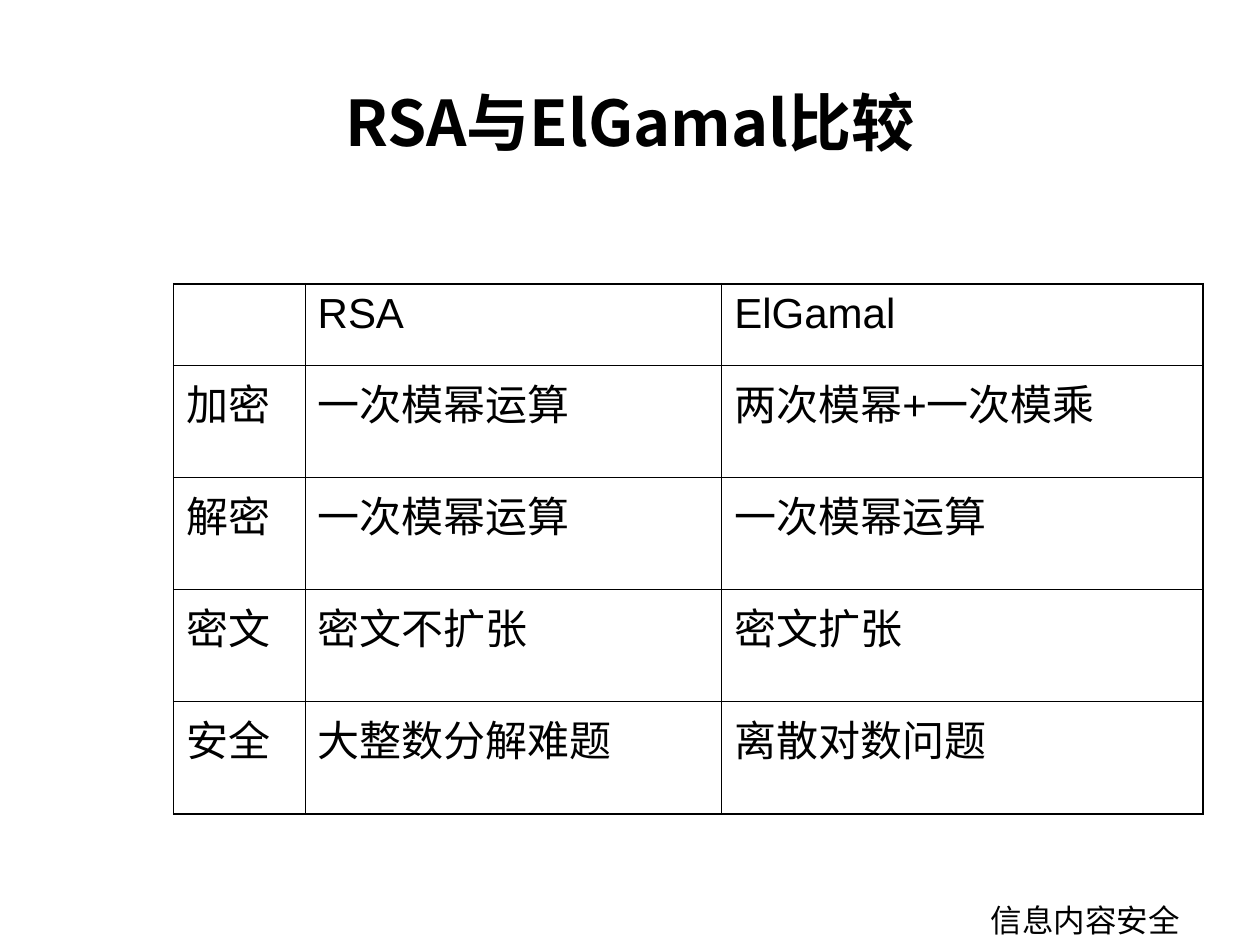
from lxml import etree
from pptx import Presentation
from pptx.dml.color import RGBColor
from pptx.enum import shapes, text
from pptx.oxml import ns
from pptx.util import Cm, Pt

BLACK = RGBColor(0x00, 0x00, 0x00)
WHITE = RGBColor(0xFF, 0xFF, 0xFF)
LATIN, CHINESE = "Arial", "Noto Sans CJK SC"

TITLE = "RSA与ElGamal比较"
FOOTER = "信息内容安全"
ROWS = [
    ("", "RSA", "ElGamal"),
    ("加密", "一次模幂运算", "两次模幂+一次模乘"),
    ("解密", "一次模幂运算", "一次模幂运算"),
    ("密文", "密文不扩张", "密文扩张"),
    ("安全", "大整数分解难题", "离散对数问题"),
]
COLUMN_WIDTHS = [2.65, 8.4, 9.7]
ROW_HEIGHTS = [1.65] + [2.26] * 4
TABLE_LEFT, TABLE_TOP = 3.5, 5.72
OUTER, INNER = Pt(1.08), Pt(0.45)

TITLE_FORMAT = {"name": CHINESE, "size": Pt(36), "bold": True}
CELL_FORMAT = {"name": LATIN, "size": Pt(24), "bold": False}
FOOTER_FORMAT = {"name": LATIN, "size": Pt(18), "bold": False}


def write(frame, words, font_format, align=text.PP_ALIGN.LEFT):
    para = frame.paragraphs[0]
    para.alignment = align
    span = para.add_run()
    span.text = words
    for key, value in font_format.items():
        setattr(span.font, key, value)
    span.font.color.rgb = BLACK
    east = etree.SubElement(span.font._element, ns.qn("a:ea"))
    east.set("typeface", CHINESE)


def draw_borders(cell, widths):
    properties = cell._tc.get_or_add_tcPr()
    for place, (side, width) in enumerate(widths.items()):
        line = etree.Element(ns.qn(f"a:ln{side}"), w=str(int(width)))
        fill = etree.SubElement(line, ns.qn("a:solidFill"))
        etree.SubElement(fill, ns.qn("a:srgbClr"), val=str(BLACK))
        properties.insert(place, line)


def add_title(page):
    box = page.shapes.add_textbox(Cm(1.27), Cm(1.17), Cm(22.86), Cm(2.16))
    frame = box.text_frame
    frame.word_wrap = True
    frame.vertical_anchor = text.MSO_ANCHOR.BOTTOM
    write(frame, TITLE, TITLE_FORMAT, text.PP_ALIGN.CENTER)


def add_footer(page):
    box = page.shapes.add_shape(
        shapes.MSO_SHAPE.RECTANGLE, Cm(19.56), Cm(18.03), Cm(5.69), Cm(1.02))
    box.shadow.inherit = False
    box.fill.solid()
    box.fill.fore_color.rgb = WHITE
    box.line.fill.background()
    frame = box.text_frame
    frame.word_wrap = True
    frame.margin_left = Cm(0.41)
    frame.vertical_anchor = text.MSO_ANCHOR.TOP
    write(frame, FOOTER, FOOTER_FORMAT)


def add_comparison(page):
    last_row, last_column = len(ROWS) - 1, len(COLUMN_WIDTHS) - 1
    table = page.shapes.add_table(
        len(ROWS), len(COLUMN_WIDTHS), Cm(TABLE_LEFT), Cm(TABLE_TOP),
        Cm(sum(COLUMN_WIDTHS)), Cm(sum(ROW_HEIGHTS))).table
    table.first_row = table.horz_banding = False
    for column, width in zip(table.columns, COLUMN_WIDTHS):
        column.width = Cm(width)
    for row, height in zip(table.rows, ROW_HEIGHTS):
        row.height = Cm(height)
    for r, row in enumerate(ROWS):
        for c, words in enumerate(row):
            cell = table.cell(r, c)
            cell.fill.background()
            if words:
                write(cell.text_frame, words, CELL_FORMAT)
            draw_borders(cell, {
                "L": OUTER if c == 0 else INNER,
                "R": OUTER if c == last_column else INNER,
                "T": OUTER if r == 0 else INNER,
                "B": OUTER if r == last_row else INNER,
            })


def main():
    deck = Presentation()
    deck.slide_width, deck.slide_height = Cm(25.4), Cm(19.05)
    page = deck.slides.add_slide(deck.slide_layouts[6])
    add_footer(page)
    add_title(page)
    add_comparison(page)
    deck.save("out.pptx")


if __name__ == "__main__":
    main()
